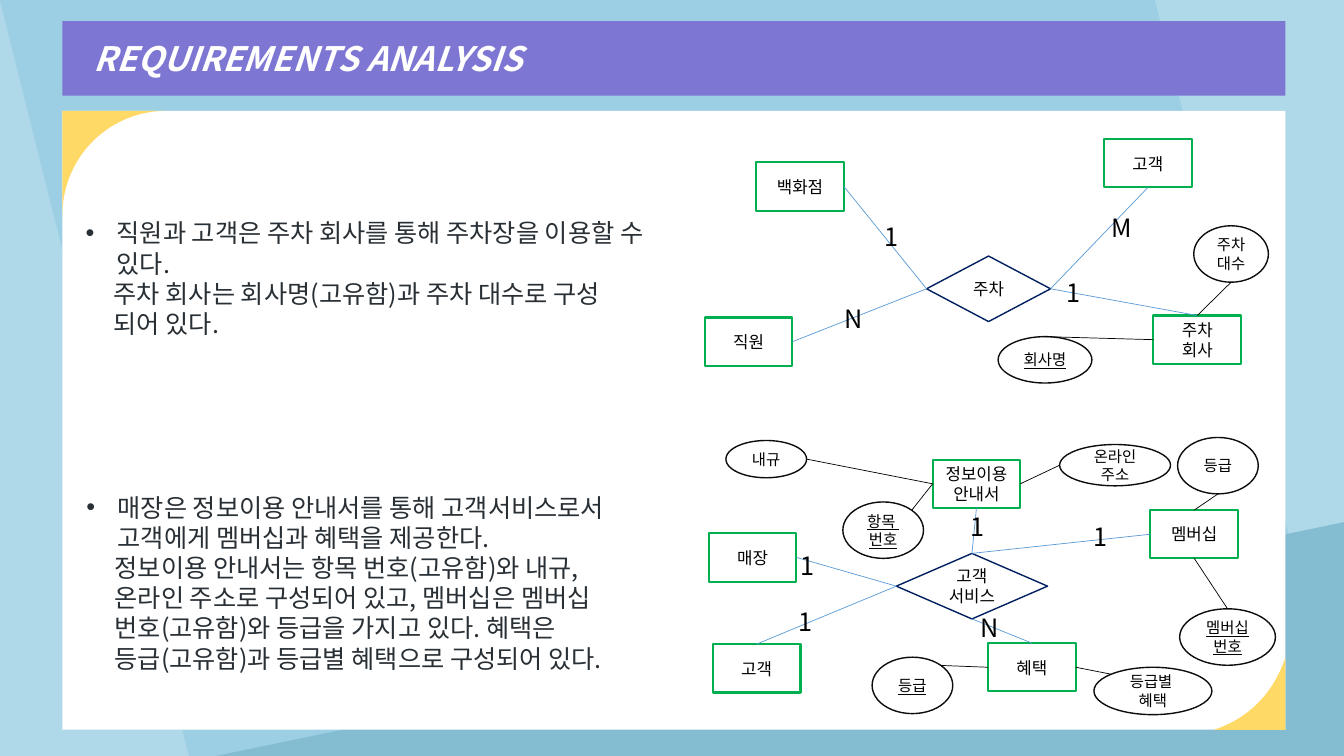
from pptx import Presentation
from pptx.dml.color import RGBColor
from pptx.enum.shapes import MSO_CONNECTOR as Link, MSO_SHAPE as Preset
from pptx.enum.text import MSO_ANCHOR as Anchor, PP_ALIGN as Align
from pptx.oxml.ns import qn
from pptx.util import Inches, Pt
from lxml.etree import SubElement

FONT = "Noto Sans CJK KR"
COLORS = {
    "sky": "AFD9E9", "band": "9CCFE4", "corner": "84BDD1", "title": "7D76D3",
    "white": "FFFFFF", "yellow": "FFD966", "body": "282F35", "black": "000000",
    "entity": "00B050", "relation": "002060", "attribute": "0D0D0D", "link": "5B9BD5",
}
SIDES = {
    "top": (0.5, 0), "left": (0, 0.5), "bottom": (0.5, 1), "right": (1, 0.5),
    "top_left": (0.146, 0.146), "top_right": (0.854, 0.146),
}
ENTITY_SIZE = (0.87, 0.48)
ENTITIES = {
    "store": (7.5, 1.61, ["백화점"]),
    "staff": (6.99, 3.15, ["직원"]),
    "parking_firm": (11.44, 3.13, ["주차", "회사"]),
    "driver": (10.95, 1.38, ["고객"]),
    "customer": (7.07, 6.39, ["고객"]),
    "shop": (7.03, 5.29, ["매장"]),
    "benefit": (9.8, 6.38, ["혜택"]),
    "guide": (9.25, 4.56, ["정보이용안내서"]),
    "membership": (11.41, 5.06, ["멤버십"]),
}
RELATIONS = {
    "parking": (9.19, 2.54, 1.23, 0.65, ["주차"]),
    "service": (8.89, 5.49, 1.5, 0.65, ["고객", "서비스"]),
}
ATTRIBUTES = {
    "car_count": (11.84, 2.24, 0.74, 0.56, ["주차 대수"], False),
    "firm_name": (9.9, 3.34, 0.93, 0.46, ["회사명"], True),
    "benefit_grade": (8.65, 6.52, 0.8, 0.56, ["등급"], True),
    "member_grade": (11.68, 4.34, 0.8, 0.56, ["등급"], False),
    "member_number": (11.7, 6.04, 0.95, 0.56, ["멤버십 번호"], True),
    "address": (10.51, 4.41, 1.1, 0.41, ["온라인 주소"], False),
    "rules": (7.2, 4.37, 0.8, 0.37, ["내규"], False),
    "item_number": (8.36, 4.98, 0.8, 0.56, ["항목 ", "번호"], True),
    "grade_benefit": (10.85, 6.62, 1.17, 0.47, ["등급별 ", "혜택"], False),
}
RELATION_LINKS = [
    ("parking", "right", "parking_firm", "top"),
    ("store", "right", "parking", "left"),
    ("driver", "bottom", "parking", "right"),
    ("parking", "left", "staff", "right"),
    ("service", "top", "membership", "left"),
    ("service", "top", "guide", "bottom"),
    ("service", "bottom", "benefit", "top"),
    ("shop", "right", "service", "left"),
    ("customer", "top", "service", "left"),
]
ATTRIBUTE_LINKS = [
    ("parking_firm", "left", "firm_name", "top"),
    ("parking_firm", "top", "car_count", "bottom"),
    ("benefit", "left", "benefit_grade", "top_right"),
    ("benefit", "right", "grade_benefit", "top_left"),
    ("member_grade", "bottom", "membership", "top"),
    ("member_number", "top", "membership", "bottom"),
    ("guide", "right", "address", "left"),
    ("guide", "left", "item_number", "top_right"),
    ("guide", "left", "rules", "right"),
]
CARDINALITIES = [
    (10.48, 2.7, "1"), (8.67, 2.15, "1"), (8.28, 2.96, "N"), (10.93, 2.06, "M"),
    (7.84, 5.41, "1"), (9.53, 5.02, "1"), (10.75, 5.12, "1"), (7.82, 5.97, "1"),
    (9.63, 6.03, "N"),
]
REQUIREMENTS = [
    (0.76, 4.83, 2.22, [
        "매장은 정보이용 안내서를 통해 고객서비스로서 고객에게 멤버십과 혜택을 제공한다.",
        "정보이용 안내서는 항목 번호(고유함)와 내규,",
        "온라인 주소로 구성되어 있고, 멤버십은 멤버십",
        "번호(고유함)와 등급을 가지고 있다. 혜택은",
        "등급(고유함)과 등급별 혜택으로 구성되어 있다.",
    ]),
    (0.75, 2.11, 1.31, [
        "직원과 고객은 주차 회사를 통해 주차장을 이용할 수 있다.",
        "주차 회사는 회사명(고유함)과 주차 대수로 구성",
        "되어 있다.",
    ]),
]


def rgb(name):
    return RGBColor.from_string(COLORS[name])


def write(frame, lines, size, color="black", align=Align.LEFT, **formats):
    for index, text in enumerate(lines):
        para = frame.paragraphs[0] if index == 0 else frame.add_paragraph()
        para.alignment = align
        para.line_spacing = Pt(size * 1.2)
        span = para.add_run()
        span.text = text
        span.font.color.rgb = rgb(color)
        for name, value in {"size": Pt(size), "name": FONT, **formats}.items():
            setattr(span.font, name, value)
        SubElement(span.font._element, qn("a:ea"), typeface=FONT)


def paint(shape, fill=None, line=None, width=1):
    shape.shadow.inherit = False
    if fill:
        shape.fill.solid()
        shape.fill.fore_color.rgb = rgb(fill)
    else:
        shape.fill.background()
    if line:
        shape.line.color.rgb = rgb(line)
        shape.line.width = Pt(width)
    else:
        shape.line.fill.background()


def add_preset(page, preset, area, fill=None, line=None, width=1, flip=False):
    shape = page.shapes.add_shape(preset, *map(Inches, area))
    paint(shape, fill, line, width)
    if flip:
        shape._element.spPr.xfrm.set("flipH", "1")
    return shape


def add_node(page, preset, area, lines, size, underline=False, **look):
    shape = add_preset(page, preset, area, **look)
    shape.text_frame.word_wrap = True
    shape.text_frame.vertical_anchor = Anchor.MIDDLE
    write(shape.text_frame, lines, size, align=Align.CENTER, underline=underline)
    return shape


def bezier(start, first, second, end, steps=24):
    for step in range(steps + 1):
        t = step / steps
        weights = ((1 - t) ** 3, 3 * t * (1 - t) ** 2, 3 * t * t * (1 - t), t ** 3)
        yield tuple(sum(w * p[axis] for w, p in zip(weights, (start, first, second, end)))
                    for axis in (0, 1))


def add_corner(page, corner, curve):
    outline = [tuple(map(Inches, point)) for point in (corner, *bezier(*curve))]
    builder = page.shapes.build_freeform(*outline[0], scale=1.0)
    builder.add_line_segments(outline[1:], close=True)
    paint(builder.convert_to_shape(), "yellow")


def anchor_point(shape, side):
    across, down = SIDES[side]
    return int(shape.left + across * shape.width), int(shape.top + down * shape.height)


def add_link(page, start, end, color):
    line = page.shapes.add_connector(Link.STRAIGHT, *start, *end)
    line.line.color.rgb = rgb(color)
    line.line.width = Pt(0.5)
    SubElement(line._element.spPr, qn("a:effectLst"))


def add_text(page, area, lines, wrap=True):
    box = page.shapes.add_textbox(*map(Inches, area))
    box.text_frame.word_wrap = wrap
    write(box.text_frame, lines, 18, "body" if wrap else "black")
    return box


def add_requirement(page, left, top, height, lines):
    box = add_text(page, (left, top, 5.9, height), lines)
    for index, para in enumerate(box.text_frame.paragraphs):
        props = para._p.get_or_add_pPr()
        props.set("marL", str(Inches(0.28 if index else 0.31)))
        props.set("indent", str(Inches(0 if index else -0.31)))
        if index == 0:
            SubElement(props, qn("a:buFont"), typeface="Arial")
            SubElement(props, qn("a:buChar"), char="•")


def add_backdrop(page):
    page.background.fill.solid()
    page.background.fill.fore_color.rgb = rgb("sky")
    add_preset(page, Preset.PARALLELOGRAM, (0, 0, 13.33, 7.5), "band", flip=True)
    add_preset(page, Preset.RIGHT_TRIANGLE, (2.14, 5.18, 11.19, 2.32), "corner", flip=True)
    title = add_preset(page, Preset.RECTANGLE, (0.62, 0.21, 12.13, 0.74), "title")
    title.text_frame.margin_left = Inches(0.31)
    title.text_frame.vertical_anchor = Anchor.MIDDLE
    write(title.text_frame, ["REQUIREMENTS ANALYSIS"], 24, "white", bold=True, italic=True)
    add_preset(page, Preset.RECTANGLE, (0.62, 1.1, 12.13, 6.14), "white")
    add_corner(page, (0.62, 1.1), ((1.65, 1.1), (1.08, 1.1), (0.62, 1.56), (0.62, 2.13)))
    add_corner(page, (12.75, 7.24), ((12.04, 7.24), (12.38, 7.13), (12.63, 6.88), (12.75, 6.52)))


def add_diagrams(page):
    nodes = {}
    for name, (left, top, lines) in ENTITIES.items():
        nodes[name] = add_node(page, Preset.RECTANGLE, (left, top, *ENTITY_SIZE), lines, 12,
                               fill="white", line="entity", width=1.5)
    for name, (*area, lines) in RELATIONS.items():
        nodes[name] = add_node(page, Preset.DIAMOND, area, lines, 12,
                               fill="white", line="relation")
    for name, (*area, lines, is_key) in ATTRIBUTES.items():
        nodes[name] = add_node(page, Preset.OVAL, area, lines, 11, is_key, line="attribute")
    for links, color in ((RELATION_LINKS, "link"), (ATTRIBUTE_LINKS, "black")):
        for start, start_side, end, end_side in links:
            add_link(page, anchor_point(nodes[start], start_side),
                     anchor_point(nodes[end], end_side), color)
    for left, top, mark in CARDINALITIES:
        width = {"1": 0.34, "N": 0.39, "M": 0.43}[mark]
        add_text(page, (left, top, width, 0.4), [mark], wrap=False)


def main():
    deck = Presentation()
    deck.slide_width, deck.slide_height = Inches(13.33), Inches(7.5)
    page = deck.slides.add_slide(deck.slide_layouts[6])
    add_backdrop(page)
    for requirement in REQUIREMENTS:
        add_requirement(page, *requirement)
    add_diagrams(page)
    deck.save("out.pptx")


if __name__ == "__main__":
    main()
